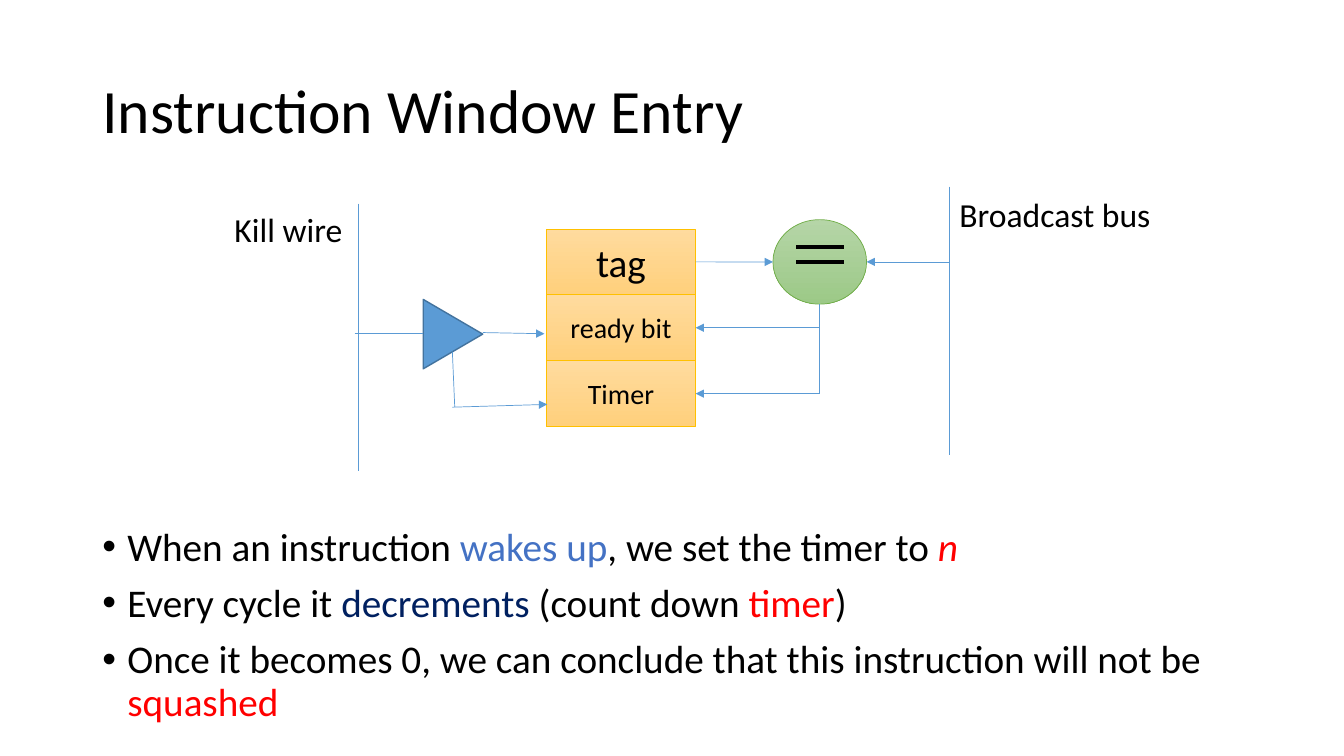
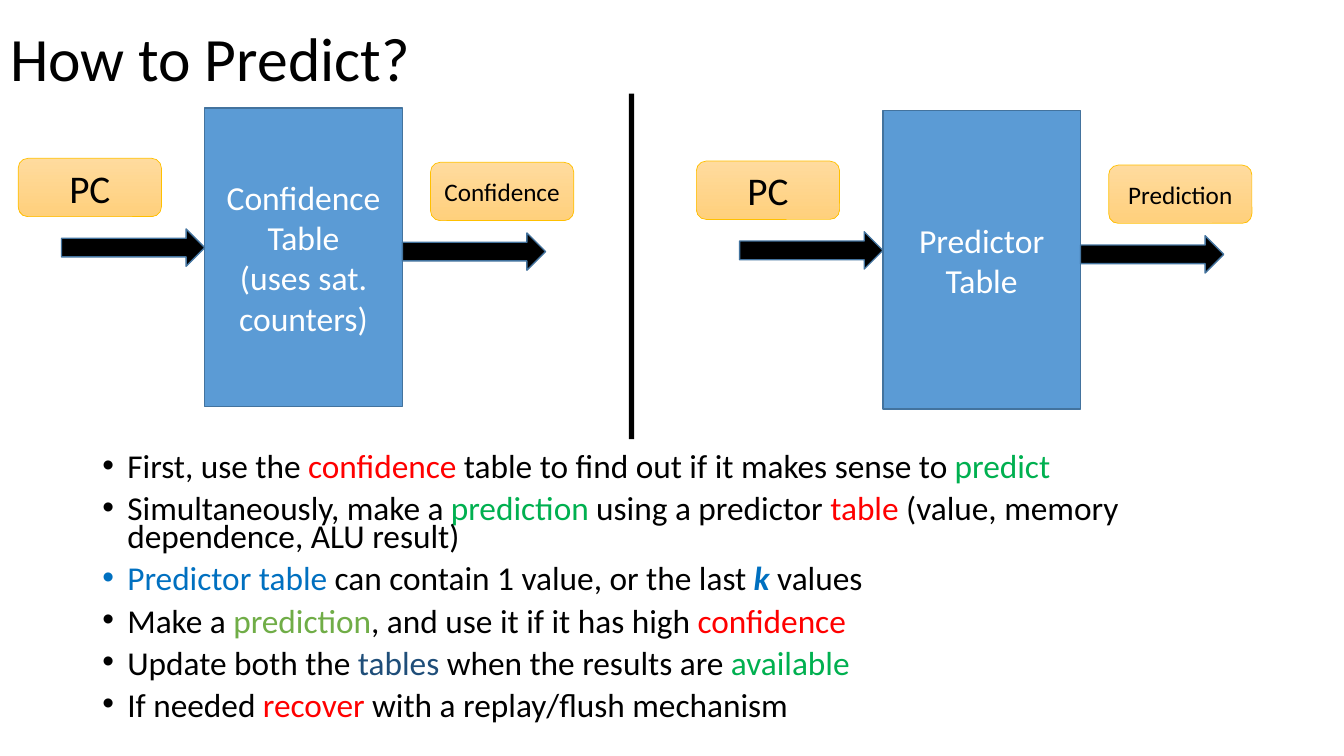
from lxml.etree import SubElement
from pptx import Presentation
from pptx.dml.color import RGBColor
from pptx.enum.shapes import MSO_CONNECTOR, MSO_SHAPE
from pptx.enum.text import MSO_ANCHOR, MSO_AUTO_SIZE, PP_ALIGN
from pptx.oxml.ns import qn
from pptx.util import Cm, Pt

FONT = "Calibri"
BLACK, WHITE, RED, GREEN = "000000", "FFFFFF", "FF0000", "00B050"
BLUE, BLUE_EDGE, LINK_BLUE = "5B9BD5", "43739E", "0070C0"
ORANGE, ORANGE_EDGE = ("FFDB9E", "FFD07C"), "FFC000"
LEAF, LEAF_EDGE = ("B5D5A7", "9CC987"), "70AD47"

WAKEUP_POINTS = [
    ["When an instruction ", ("wakes up", "4472C4"), ", we set the timer to ",
     ("n", RED, "i")],
    ["Every cycle it ", ("decrements", "002060"), " (count down ",
     ("timer", RED), ")"],
    ["Once it becomes 0, we can conclude that this instruction will not be ",
     ("squashed", RED)],
]
PREDICT_POINTS = [
    ["First, use the ", ("confidence", RED),
     " table to find out if it makes sense to ", ("predict", GREEN)],
    ["Simultaneously, make a ", ("prediction", GREEN),
     " using a predictor ", ("table", RED),
     " (value, memory dependence, ALU result)"],
    [("Predictor table ", LINK_BLUE), "can contain 1 value, or the last ",
     ("k ", LINK_BLUE, "bi"), "values"],
    ["Make a ", ("prediction", LEAF_EDGE), ", and use it if it has high ",
     ("confidence", RED)],
    ["Update both the ", ("tables", "1F4E79"), " when the results are ",
     ("available", GREEN)],
    ["If needed ", ("recover", RED), " with a replay/flush mechanism"],
]


def rgb(value):
    return RGBColor.from_string(value)


def set_font(paragraph, size, color=BLACK):
    font = paragraph.font
    font.name, font.size = FONT, Pt(size)
    font.color.rgb = rgb(color)


def add_block(slide, kind, box, fill, edge=None, text="", size=20,
              color=BLACK, edge_width=0.5):
    """Preset shape; a pair of colours as fill gives a top-down gradient."""
    block = slide.shapes.add_shape(kind, *map(Cm, box))
    block.shadow.inherit = False
    if isinstance(fill, tuple):
        block.fill.gradient()
        block.fill.gradient_angle = 270
        for stop, shade, position in zip(block.fill.gradient_stops, fill, (0, 1)):
            stop.color.rgb, stop.position = rgb(shade), position
    else:
        block.fill.solid()
        block.fill.fore_color.rgb = rgb(fill)
    if edge:
        block.line.color.rgb = rgb(edge)
        block.line.width = Pt(edge_width)
    else:
        block.line.fill.background()
    if text:
        frame = block.text_frame
        frame.text = text
        frame.word_wrap = True
        frame.vertical_anchor = MSO_ANCHOR.MIDDLE
        for paragraph in frame.paragraphs:
            paragraph.alignment = PP_ALIGN.CENTER
            set_font(paragraph, size, color)
    return block


def add_wire(slide, start, end, arrow=False, color=BLUE, width=0.5):
    wire = slide.shapes.add_connector(
        MSO_CONNECTOR.STRAIGHT, *map(Cm, (*start, *end)))
    wire.line.color.rgb = rgb(color)
    wire.line.width = Pt(width)
    if arrow:
        SubElement(wire.line._get_or_add_ln(), qn("a:tailEnd"), type="triangle")
    SubElement(wire._element.spPr, qn("a:effectLst"))
    return wire


def add_label(slide, text, box):
    frame = slide.shapes.add_textbox(*map(Cm, box)).text_frame
    frame.text = text
    frame.word_wrap = False
    set_font(frame.paragraphs[0], 24)


def add_titled_slide(deck, text, left, top):
    slide = deck.slides.add_slide(deck.slide_layouts[5])
    title = slide.shapes.title
    title.left, title.top, title.width, title.height = map(
        Cm, (left, top, 29.21, 3.68))
    frame = title.text_frame
    frame.text = text
    frame.word_wrap = True
    frame.auto_size = MSO_AUTO_SIZE.NONE
    frame.vertical_anchor = MSO_ANCHOR.MIDDLE
    paragraph = frame.paragraphs[0]
    paragraph.alignment = PP_ALIGN.LEFT
    paragraph.line_spacing = 0.9
    set_font(paragraph, 44)
    return slide


def add_points(slide, points, box, size, spacing):
    """Bulleted list whose coloured words are (text, colour, style) runs."""
    frame = slide.shapes.add_textbox(*map(Cm, box)).text_frame
    frame.word_wrap = True
    for index, point in enumerate(points):
        paragraph = frame.add_paragraph() if index else frame.paragraphs[0]
        paragraph.line_spacing = spacing
        paragraph.space_before = Pt(10 if index else 0)
        properties = paragraph._p.get_or_add_pPr()
        indent = Cm(0.63)
        properties.set("marL", str(indent))
        properties.set("indent", str(-indent))
        SubElement(properties, qn("a:buFont"), typeface="Arial")
        SubElement(properties, qn("a:buChar"), char="•")
        set_font(paragraph, size)
        for part in point:
            text, color, style = part if len(part) == 3 and isinstance(part, tuple) \
                else (*part, "") if isinstance(part, tuple) else (part, None, "")
            run = paragraph.add_run()
            run.text = text
            if color:
                run.font.color.rgb = rgb(color)
            if "b" in style:
                run.font.bold = True
            if "i" in style:
                run.font.italic = True


def draw_entry(slide, left, top):
    """Stacked fields of the window entry."""
    width, height = 3.76, 1.66
    fields = (("tag", 28), ("ready bit", 20), ("Timer", 20))
    return [add_block(slide, MSO_SHAPE.RECTANGLE,
                      (left, top + row * height, width, height),
                      ORANGE, ORANGE_EDGE, text, size)
            for row, (text, size) in enumerate(fields)]


def draw_broadcast(slide, left, top, fields):
    """Comparator between the entry, left of it, and the broadcast bus."""
    tag, ready, timer = fields
    gap, width, height, bus_x = 1.95, 2.36, 2.13, 6.4
    middle_x, middle_y = left + gap + width / 2, top + 1.9
    add_block(slide, MSO_SHAPE.OVAL,
              (left + gap, middle_y - height / 2, width, height), LEAF, LEAF_EDGE)
    for y in (middle_y - 0.38, middle_y):
        add_wire(slide, (middle_x - 0.6, y), (middle_x + 0.6, y),
                 color=BLACK, width=3)
    add_wire(slide, (left, middle_y), (left + gap, middle_y),
             arrow=True).begin_connect(tag, 3)

    # Match result feeds the two lower fields
    ready_y, timer_y = middle_y + 1.66, middle_y + 3.32
    add_wire(slide, (middle_x, middle_y + height / 2), (middle_x, timer_y))
    for field, y in ((timer, timer_y), (ready, ready_y)):
        add_wire(slide, (middle_x, y), (left, y), arrow=True).end_connect(field, 3)

    # Bus
    bus = left + bus_x
    add_wire(slide, (bus, top), (bus, top + 6.76))
    add_wire(slide, (bus, middle_y), (left + gap + width, middle_y), arrow=True)
    add_label(slide, "Broadcast bus", (bus, top + 0.05, 5.36, 1.27))


def draw_kill(slide, left, top):
    """Kill wire and the driver that resets the entry."""
    wire_x, driver_y = left + 3.36, top + 3.28
    add_wire(slide, (wire_x, top), (wire_x, top + 6.74))
    add_label(slide, "Kill wire", (left, top, 3.25, 1.27))
    driver = add_block(slide, MSO_SHAPE.ISOSCELES_TRIANGLE,
                       (left + 4.88, top + 2.54, 1.75, 1.5),
                       BLUE, BLUE_EDGE, edge_width=1)
    driver.rotation = 90
    add_wire(slide, (wire_x - 0.08, driver_y), (left + 5.01, driver_y))
    add_wire(slide, (left + 6.51, driver_y - 0.03), (left + 8.06, driver_y),
             arrow=True)
    add_wire(slide, (left + 5.74, top + 3.73), (left + 5.8, top + 5.13))
    add_wire(slide, (left + 5.74, top + 5.13), (left + 8.13, top + 5.06),
             arrow=True)


def draw_lookup(slide, left, top, table, result):
    """Table indexed by the PC, with its result on the right."""
    table_x, table_width, arrow_width = 4.7, 4.98, 3.61
    add_block(slide, MSO_SHAPE.RECTANGLE,
              (left + table_x, top, table_width, 7.52),
              BLUE, BLUE_EDGE, table, 24, WHITE, 1)
    for x, y in ((table_x - arrow_width, 3.05), (table_x + table_width, 3.15)):
        add_block(slide, MSO_SHAPE.RIGHT_ARROW,
                  (left + x, top + y, arrow_width, 0.94),
                  BLACK, BLUE_EDGE, edge_width=1)
    for text, size, x, y in (("PC", 28, 0, 1.27), (result, 18, 10.39, 1.37)):
        add_block(slide, MSO_SHAPE.ROUNDED_RECTANGLE,
                  (left + x, top + y, 3.61, 1.47),
                  ORANGE, ORANGE_EDGE, text, size)


def build_window_slide(deck):
    slide = add_titled_slide(deck, "Instruction Window Entry", 2.33, 1.01)
    add_points(slide, WAKEUP_POINTS, (2.33, 13.16, 29.21, 5.38), 28, 0.9)
    fields = draw_entry(slide, 13.77, 5.77)
    draw_broadcast(slide, 17.53, 4.7, fields)
    draw_kill(slide, 5.66, 5.13)


def build_predict_slide(deck):
    slide = add_titled_slide(deck, "How to Predict?", 0, -0.3)
    add_points(slide, PREDICT_POINTS, (2.33, 11.38, 29.21, 7.67), 23.8, 0.7)
    draw_lookup(slide, 0.46, 2.72,
                "Confidence\nTable\n(uses sat. counters)", "Confidence")
    draw_lookup(slide, 17.55, 2.79, "Predictor\nTable", "Prediction")
    # Divider
    add_block(slide, MSO_SHAPE.RECTANGLE, (15.85, 2.36, 0.13, 8.71), BLACK)


def main():
    deck = Presentation()
    deck.slide_width, deck.slide_height = Cm(33.87), Cm(19.05)
    build_window_slide(deck)
    build_predict_slide(deck)
    deck.save("out.pptx")


if __name__ == "__main__":
    main()
